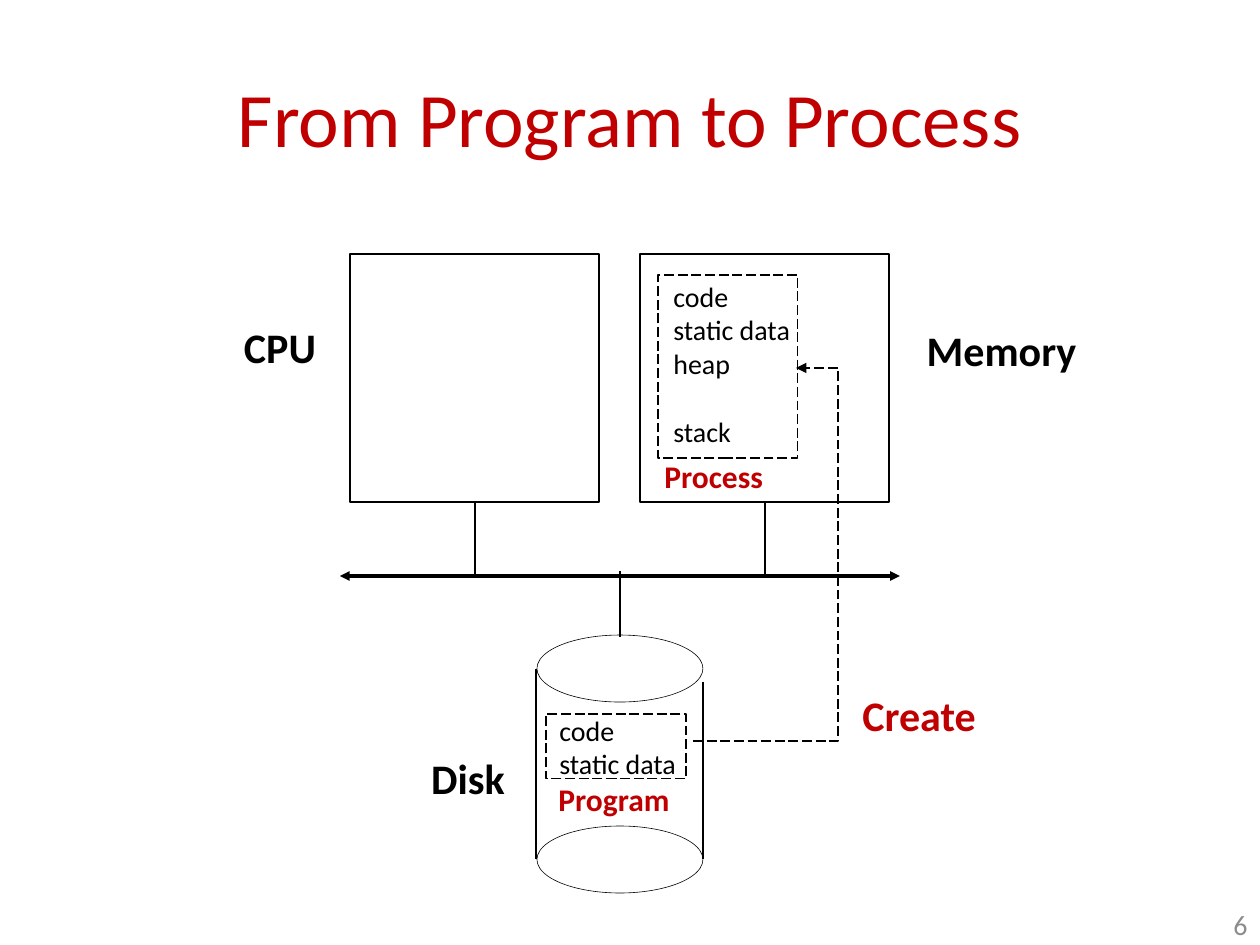
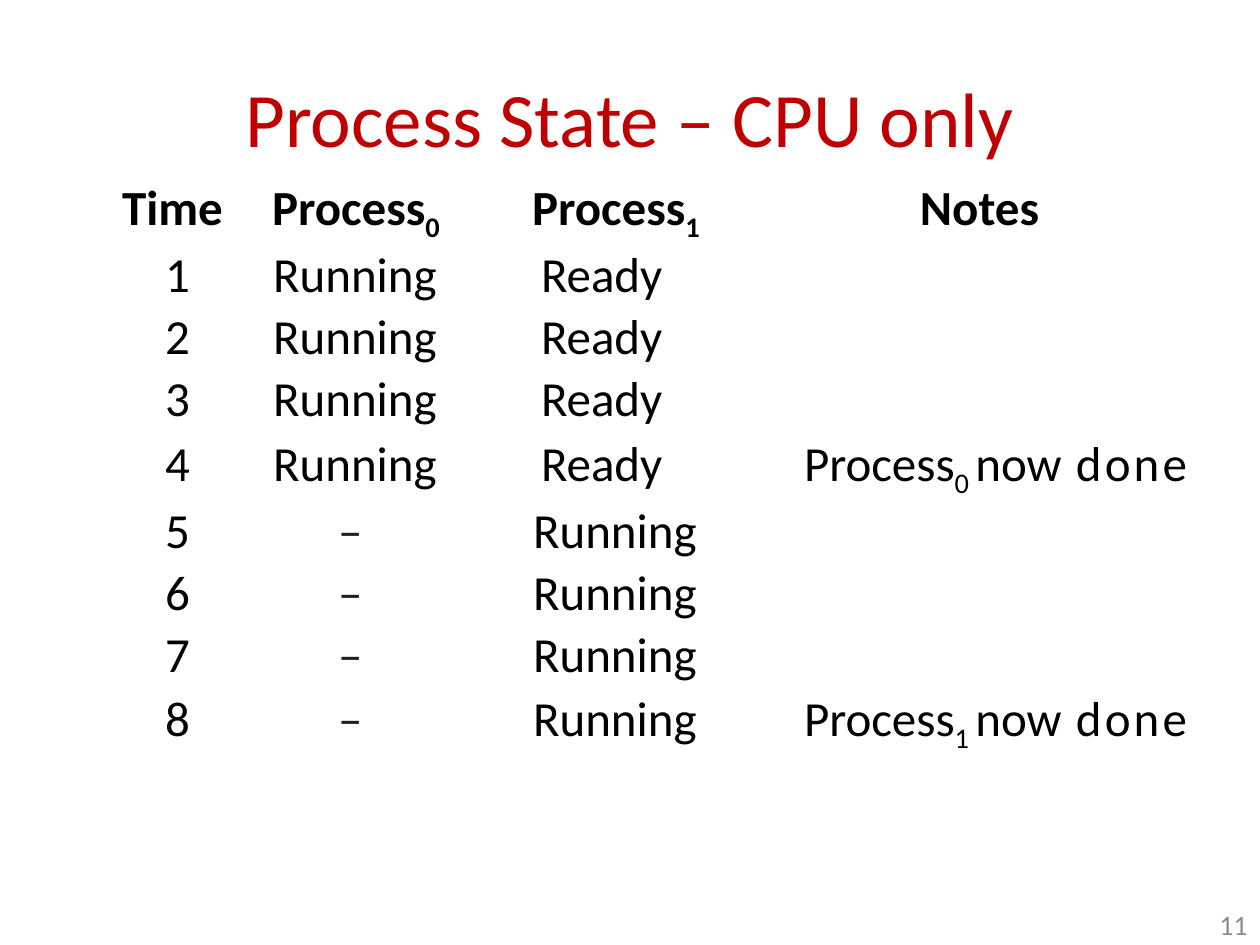
import dataclasses
import typing

import lxml.etree
import pptx
import pptx.dml.color
import pptx.enum.dml
import pptx.enum.shapes
import pptx.enum.text
import pptx.oxml.ns
import pptx.util

RGBColor = pptx.dml.color.RGBColor
BLACK = RGBColor(0x00, 0x00, 0x00)
WHITE = RGBColor(0xFF, 0xFF, 0xFF)
RED = RGBColor(0xC0, 0x00, 0x00)
GREY = RGBColor(0x8C, 0x8C, 0x8C)
INK = RGBColor(0x23, 0x1F, 0x20)

FONT = "Calibri"
PX_PER_INCH = 126
ALIGN = pptx.enum.text.PP_ALIGN
ANCHOR = pptx.enum.text.MSO_ANCHOR
SHAPE = pptx.enum.shapes.MSO_SHAPE
LONG_DASH = pptx.enum.dml.MSO_LINE.LONG_DASH
TITLE_ONLY = 5
CODE_LINE = 19.5


@dataclasses.dataclass(frozen=True)
class Frame:
    left: int
    top: int
    width: int
    height: int

    def emu(self) -> tuple[int, ...]:
        return tuple(px(value) for value in dataclasses.astuple(self))


@dataclasses.dataclass(frozen=True)
class Label:
    frame: Frame
    lines: tuple[str, ...]
    size: int
    color: RGBColor = BLACK
    bold: bool = False
    align: ALIGN = ALIGN.LEFT
    anchor: ANCHOR = ANCHOR.TOP


@dataclasses.dataclass(frozen=True)
class Outline:
    kind: SHAPE
    frame: Frame
    weight: float = 0.7
    dashed: bool = False


@dataclasses.dataclass(frozen=True)
class Wire:
    start: tuple[int, int]
    end: tuple[int, int]
    weight: float = 1.39
    arrows: tuple[str, ...] = ()
    arrow_size: str = "med"


@dataclasses.dataclass(frozen=True)
class Span:
    text: str
    marks: tuple[tuple[str, str], ...] = ()


@dataclasses.dataclass(frozen=True)
class Entry:
    spans: tuple[Span, ...] = ()
    indent: int = 0
    align: ALIGN = ALIGN.LEFT
    color: RGBColor = BLACK


SUBSCRIPT = (("baseline", "-25000"),)
TIGHT = (("spc", "-50"),)
LOOSE = (("spc", "180"),)

CPU_BOX = Frame(350, 254, 249, 248)
MEMORY_BOX = Frame(640, 254, 249, 248)
DISK_LEFT, DISK_WIDTH, DISK_CAP = 537, 166, 67
BUS_Y = 576

OUTLINES = [
    Outline(SHAPE.RECTANGLE, CPU_BOX),
    Outline(SHAPE.RECTANGLE, MEMORY_BOX),
    Outline(SHAPE.RECTANGLE, Frame(658, 275, 140, 183), dashed=True),
    Outline(SHAPE.OVAL, Frame(DISK_LEFT, 635, DISK_WIDTH, DISK_CAP), 0.34),
    Outline(SHAPE.OVAL, Frame(DISK_LEFT, 826, DISK_WIDTH, DISK_CAP), 0.34),
    Outline(SHAPE.RECTANGLE, Frame(546, 714, 140, 65), dashed=True),
]

WIRES = [
    Wire((475, 502), (475, 574)),
    Wire((765, 502), (765, 574)),
    Wire((620, 571), (620, 637)),
    Wire((536, 669), (536, 859), 0.69),
    Wire((703, 682), (703, 859), 0.69),
    Wire((340, BUS_Y), (900, BUS_Y), 2.79, ("headEnd", "tailEnd"), "sm"),
]

CREATE_ROUTE = [(693, 741), (838, 741), (838, 368), (796, 368)]

LABELS = [
    Label(Frame(661, 273, 160, 183), ("code", "static data", "heap", "stack"), 16),
    Label(Frame(546, 774, 188, 62), ("Program",), 18, RED, True),
    Label(Frame(547, 707, 188, 81), ("code", "static data"), 16),
    Label(Frame(652, 451, 188, 50), ("Process",), 18, RED, True),
    Label(Frame(900, 318, 203, 63), ("Memory",), 24, BLACK, True, ALIGN.CENTER),
    Label(Frame(409, 746, 118, 63), ("Disk",), 24, BLACK, True, ALIGN.CENTER),
    Label(Frame(210, 315, 140, 66), ("CPU",), 24, BLACK, True, ALIGN.CENTER),
    Label(Frame(850, 683, 151, 63), ("Create",), 24, RED, True),
]

TABLE_FRAME = Frame(73, 179, 1134, 567)
COLUMN_WIDTHS = [189, 260, 272, 413]
ROW_HEIGHTS = [67, 62, 62, 65, 62, 62, 62, 64, 62]


def px(value: int) -> int:
    return round(value * 914400 / PX_PER_INCH)


def apply(target: typing.Any, values: dict[str, typing.Any]) -> None:
    for name, value in values.items():
        setattr(target, name, value)


def format_font(font: typing.Any, size: int, color: RGBColor, bold: bool = False) -> None:
    apply(font, {"name": FONT, "size": pptx.util.Pt(size), "bold": bold})
    font.color.rgb = color


def format_line(line: typing.Any, weight: float, dashed: bool = False) -> None:
    line.color.rgb = BLACK
    line.width = pptx.util.Pt(weight)
    if dashed:
        line.dash_style = LONG_DASH


def add_arrow(shape: typing.Any, ending: str, size: str) -> None:
    line = shape._element.spPr.find(pptx.oxml.ns.qn("a:ln"))
    lxml.etree.SubElement(
        line, pptx.oxml.ns.qn(f"a:{ending}"), type="triangle", w=size, len=size
    )


def draw_label(page: typing.Any, label: Label) -> None:
    box = page.shapes.add_textbox(*label.frame.emu())
    apply(box.text_frame, {"word_wrap": True, "vertical_anchor": label.anchor})
    for index, line in enumerate(label.lines):
        para = box.text_frame.paragraphs[0] if index == 0 else box.text_frame.add_paragraph()
        para.alignment = label.align
        if line == "stack":
            para.space_before = pptx.util.Pt(CODE_LINE)
        span = para.add_run()
        span.text = line
        format_font(span.font, label.size, label.color, label.bold)


def draw_outline(page: typing.Any, outline: Outline) -> None:
    shape = page.shapes.add_shape(outline.kind, *outline.frame.emu())
    shape.shadow.inherit = False
    shape.fill.background()
    format_line(shape.line, outline.weight, outline.dashed)


def draw_wire(page: typing.Any, wire: Wire) -> None:
    ends = [px(value) for value in wire.start + wire.end]
    connector = page.shapes.add_connector(pptx.enum.shapes.MSO_CONNECTOR.STRAIGHT, *ends)
    format_line(connector.line, wire.weight)
    for ending in wire.arrows:
        add_arrow(connector, ending, wire.arrow_size)
    lxml.etree.SubElement(connector._element.spPr, pptx.oxml.ns.qn("a:effectLst"))


def draw_route(page: typing.Any, points: list[tuple[int, int]]) -> None:
    corners = [(px(x), px(y)) for x, y in points]
    builder = page.shapes.build_freeform(*corners[0], scale=1.0)
    builder.add_line_segments(corners[1:], close=False)
    route = builder.convert_to_shape()
    route.shadow.inherit = False
    route.fill.background()
    format_line(route.line, 0.7, dashed=True)
    add_arrow(route, "tailEnd", "med")


def add_page(deck: typing.Any, title: str, number: int) -> typing.Any:
    page = deck.slides.add_slide(deck.slide_layouts[TITLE_ONLY])
    heading = page.shapes.title
    places = zip(("left", "top", "width", "height"), Frame(63, 38, 1134, 157).emu())
    apply(heading, dict(places))
    heading.text_frame.vertical_anchor = ANCHOR.MIDDLE
    para = heading.text_frame.paragraphs[0]
    para.alignment = ALIGN.CENTER
    span = para.add_run()
    span.text = title
    format_font(span.font, 44, RED)
    draw_label(page, Label(Frame(998, 903, 262, 42), (str(number),), 16, GREY,
                           align=ALIGN.RIGHT, anchor=ANCHOR.MIDDLE))
    return page


def process_name(index: int, gap: str = "") -> tuple[Span, ...]:
    return Span("Process"), Span(f"{index}{gap}", SUBSCRIPT)


def state_rows() -> list[list[Entry]]:
    running = Entry((Span("Running"),), 11)
    ready = Entry((Span("Ready"),), 19)
    finished = Entry((Span("–"),), 76, color=INK)
    rows = [[
        Entry((Span("T", TIGHT), Span("ime")), 10, ALIGN.CENTER),
        Entry(process_name(0), 10),
        Entry(process_name(1), 10),
        Entry((Span("Notes"),), 126),
    ]]
    for time in range(1, 9):
        process, step = divmod(time - 1, 4)
        states = [finished, running] if process else [running, ready]
        done = process_name(process, " ") + (Span("now"), Span(" done", LOOSE))
        note = Entry(done, 10) if step == 3 else Entry()
        rows.append([Entry((Span(str(time)),), 20, ALIGN.CENTER), *states, note])
    return rows


def fill_cell(cell: typing.Any, entry: Entry, bold: bool) -> None:
    sides = ("margin_left", "margin_top", "margin_right", "margin_bottom")
    apply(cell, dict.fromkeys(sides, 0))
    cell.fill.solid()
    cell.fill.fore_color.rgb = WHITE
    para = cell.text_frame.paragraphs[0]
    para.alignment = entry.align
    para._p.get_or_add_pPr().set("marL", str(px(entry.indent)))
    for part in entry.spans:
        span = para.add_run()
        span.text = part.text
        format_font(span.font, 28, entry.color, bold)
        for name, value in part.marks:
            span._r.get_or_add_rPr().set(name, value)


def draw_states(page: typing.Any) -> None:
    rows = state_rows()
    holder = page.shapes.add_table(len(rows), len(COLUMN_WIDTHS), *TABLE_FRAME.emu())
    table = holder.table
    apply(table, {"first_row": False, "horz_banding": False})
    for column, width in zip(table.columns, COLUMN_WIDTHS):
        column.width = px(width)
    for index, (row, height) in enumerate(zip(table.rows, ROW_HEIGHTS)):
        row.height = px(height)
        for cell, entry in zip(row.cells, rows[index]):
            fill_cell(cell, entry, bold=index == 0)


def main() -> None:
    deck = pptx.Presentation()
    apply(deck, {"slide_width": px(1260), "slide_height": px(945)})

    program_page = add_page(deck, "From Program to Process", 6)
    for outline in OUTLINES:
        draw_outline(program_page, outline)
    for wire in WIRES:
        draw_wire(program_page, wire)
    draw_route(program_page, CREATE_ROUTE)
    for label in LABELS:
        draw_label(program_page, label)

    state_page = add_page(deck, "Process State – CPU only", 11)
    draw_states(state_page)

    deck.save("out.pptx")


if __name__ == "__main__":
    main()
